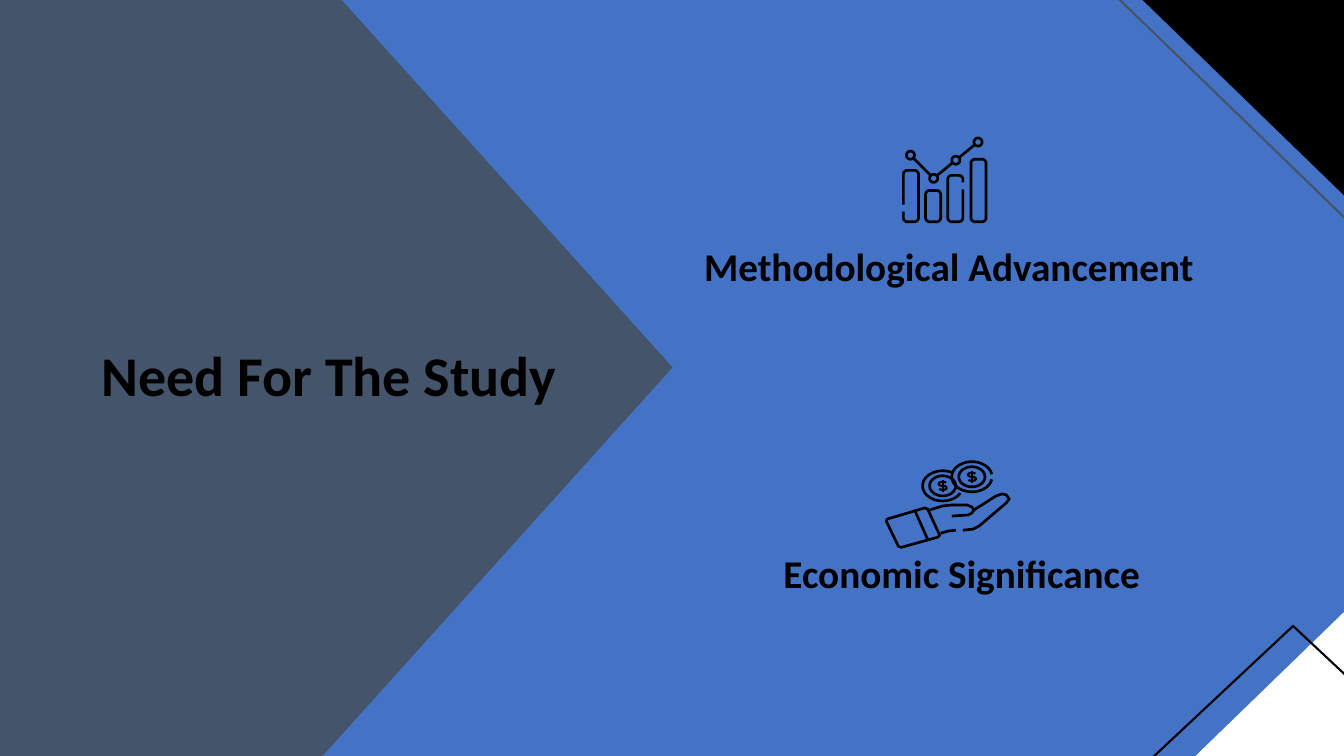
from math import cos, sin, hypot, radians
from pptx import Presentation
from pptx.dml.color import RGBColor
from pptx.enum.shapes import MSO_SHAPE
from pptx.enum.text import MSO_ANCHOR, PP_ALIGN
from pptx.util import Inches, Pt

BLUE = RGBColor(0x44, 0x72, 0xC4)
SLATE = RGBColor(0x44, 0x54, 0x6A)
BLACK = RGBColor(0, 0, 0)
WHITE = RGBColor(0xFF, 0xFF, 0xFF)


def arc(x, y, wide, high, start, end):
    """Points on an ellipse with the given radii, between two angles."""
    steps = max(6, round(abs(end - start) / 12))
    turns = [radians(start + (end - start) * i / steps)
             for i in range(steps + 1)]
    return [(x + wide * cos(t), y + high * sin(t)) for t in turns]


def bar(left, top, base, gap=None, side="left"):
    """Rounded bar, with an optional gap in one of its sides."""
    wide, r = 0.15, 0.04
    right = left + wide
    spots = [(left + r, top + r), (right - r, top + r),
             (right - r, base - r), (left + r, base - r)]
    turns = [arc(x, y, r, r, 180 + 90 * i, 270 + 90 * i)
             for i, (x, y) in enumerate(spots)]
    if side == "right":
        turns = turns[2:] + turns[:2]
    outline = sum(turns, [])
    if not gap:
        return outline + outline[:1]
    edge = left if side == "left" else right
    first, last = gap if side == "left" else gap[::-1]
    return [(edge, first)] + outline + [(edge, last)]


def link(a, b, trim):
    """Line between two dots, cut short at both ends."""
    size = hypot(b[0] - a[0], b[1] - a[1])
    dx, dy = ((b[i] - a[i]) * trim / size for i in (0, 1))
    return [(a[0] + dx, a[1] + dy), (b[0] - dx, b[1] - dy)]


class Deck:
    font = "Calibri"

    def __init__(self):
        self.prs = Presentation()
        self.prs.slide_width = Inches(13.33)
        self.prs.slide_height = Inches(7.5)
        self.slide = self.prs.slides.add_slide(self.prs.slide_layouts[5])
        self.shapes = self.slide.shapes
        back = self.slide.background.fill
        back.solid()
        back.fore_color.rgb = BLUE

    def paint(self, shape, fill=None, line=None, width=1.5):
        shape.shadow.inherit = False
        if fill is None:
            shape.fill.background()
        else:
            shape.fill.solid()
            shape.fill.fore_color.rgb = fill
        if line is None:
            shape.line.fill.background()
        else:
            shape.line.color.rgb = line
            shape.line.width = Pt(width)

    def wedge(self, kind, box, turn=0, flip=False, **look):
        shape = self.shapes.add_shape(kind, *map(Inches, box))
        shape.rotation = turn
        if flip:
            shape._element.spPr.xfrm.set("flipH", "1")
        self.paint(shape, **look)

    def stroke(self, *lines, width=1.9):
        lines = [[(Inches(x), Inches(y)) for x, y in p] for p in lines]
        pen = self.shapes.build_freeform(*lines[0][0])
        for i, line in enumerate(lines):
            if i:
                pen.move_to(*line[0])
            pen.add_line_segments(line[1:], close=line[0] == line[-1])
        self.paint(pen.convert_to_shape(), line=BLACK, width=width)

    def words(self, shape, text, size, align=PP_ALIGN.LEFT,
              anchor=MSO_ANCHOR.TOP, pad=0.13, space=0.9):
        frame = shape.text_frame
        frame.text = text
        frame.word_wrap = True
        frame.vertical_anchor = anchor
        frame.margin_left = frame.margin_right = Inches(pad)
        frame.margin_top = frame.margin_bottom = Inches(pad)
        para = frame.paragraphs[0]
        para.alignment = align
        para.line_spacing = space
        font = para.runs[0].font
        font.name, font.size, font.bold = self.font, Pt(size), True
        font.color.rgb = BLACK

    def title(self, text, box, size):
        shape = self.shapes.title
        shape.left, shape.top, shape.width, shape.height = map(Inches, box)
        self.words(shape, text, size)
        # Bring the title in front of the backdrop
        self.shapes._spTree.append(shape._element)

    def label(self, text, box, size, **style):
        shape = self.shapes.add_textbox(*map(Inches, box))
        self.words(shape, text, size, **style)


def main():
    deck = Deck()

    # Backdrop
    tri, corner = MSO_SHAPE.ISOSCELES_TRIANGLE, MSO_SHAPE.RIGHT_TRIANGLE
    deck.wedge(tri, (-4.62, 0.14, 15.57, 7.01), 90, fill=SLATE)
    deck.wedge(corner, (10.18, -0.9, 4.97, 4.82), 180, line=SLATE)
    deck.wedge(corner, (10.27, -1.03, 4.97, 4.82), 180, fill=BLACK)
    deck.wedge(corner, (11.61, 5.82, 1.98, 1.92), flip=True, fill=WHITE)
    deck.wedge(tri, (10.7, 6.21, 4.25, 1.99), line=BLACK)

    # Title and labels
    deck.title("Need For The Study", (0.88, 3.32, 4.85, 0.85), 40)
    deck.label("Methodological Advancement", (6.74, 2.21, 5.34, 0.92), 28,
               align=PP_ALIGN.CENTER, anchor=MSO_ANCHOR.MIDDLE)
    deck.label("Economic Significance", (7.72, 5.4, 4.7, 0.88), 28,
               pad=0.05, space=1.0)

    # Chart icon: four bars and a trend
    base = 2.2
    deck.stroke(bar(8.96, 1.69, base, (2.03, 2.1)))
    deck.stroke(bar(9.18, 1.89, base))
    deck.stroke(bar(9.4, 1.74, base, (1.81, 1.88), "right"))
    deck.stroke(bar(9.63, 1.58, base))
    dots = [(9.03, 1.54), (9.26, 1.77), (9.48, 1.59), (9.7, 1.41)]
    rings = [arc(x, y, 0.04, 0.04, 0, 360) for x, y in dots]
    links = [link(a, b, 0.04) for a, b in zip(dots, dots[1:])]
    deck.stroke(*rings, *links)

    # Coins
    coins = [(9.35, 4.82, 29, 298), (9.64, 4.73, 10, 350)]
    deck.stroke(*[arc(x, y, 0.2, 0.15, a, b) for x, y, a, b in coins])
    for x, y, *_ in coins:
        deck.stroke(arc(x, y, 0.13, 0.1, 0, 360))
        curve = (arc(x, y - 0.02, 0.04, 0.02, 330, 90)
                 + arc(x, y + 0.02, 0.04, 0.02, 270, 510))
        deck.stroke(curve, [(x, y - 0.06), (x, y + 0.06)], width=1.5)

    # Open hand
    cuff = [(8.8, 5.15), (9.17, 5.04), (9.2, 5.05), (9.32, 5.31),
            (9.3, 5.33), (8.94, 5.43), (8.91, 5.42), (8.79, 5.17),
            (8.8, 5.15)]
    seam = [(9.08, 5.08), (9.2, 5.35)]
    thumb = [(9.22, 5.06), (9.35, 5.02), (9.44, 5.01), (9.59, 5.01),
             (9.64, 5.03), (9.66, 5.06), (9.64, 5.09), (9.6, 5.11),
             (9.44, 5.12)]
    palm = [(9.66, 5.06), (9.88, 4.92), (9.94, 4.9), (9.98, 4.91),
            (10.01, 4.95), (9.98, 4.99), (9.71, 5.22), (9.65, 5.25),
            (9.55, 5.26)]
    wrist = [(9.33, 5.29), (9.4, 5.27), (9.48, 5.26)]
    deck.stroke(cuff, seam, thumb, palm, wrist)

    deck.prs.save("out.pptx")


if __name__ == "__main__":
    main()
